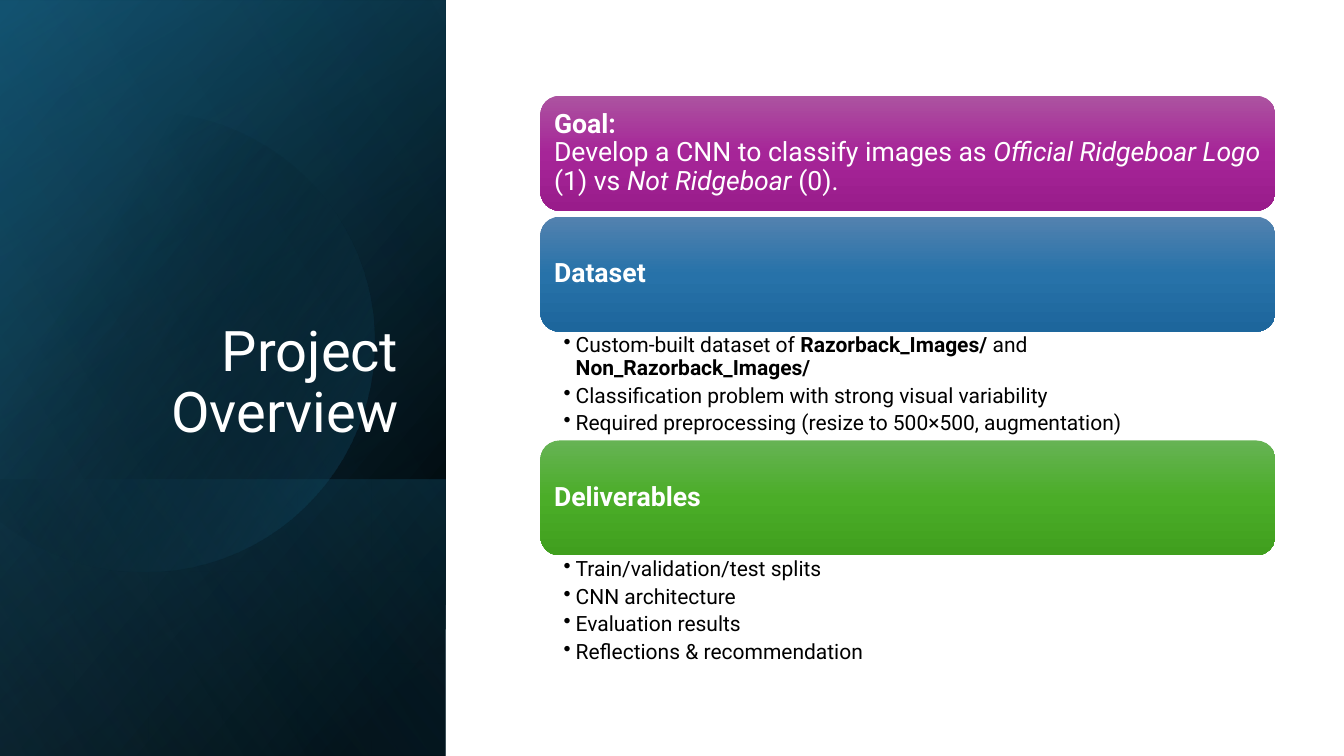
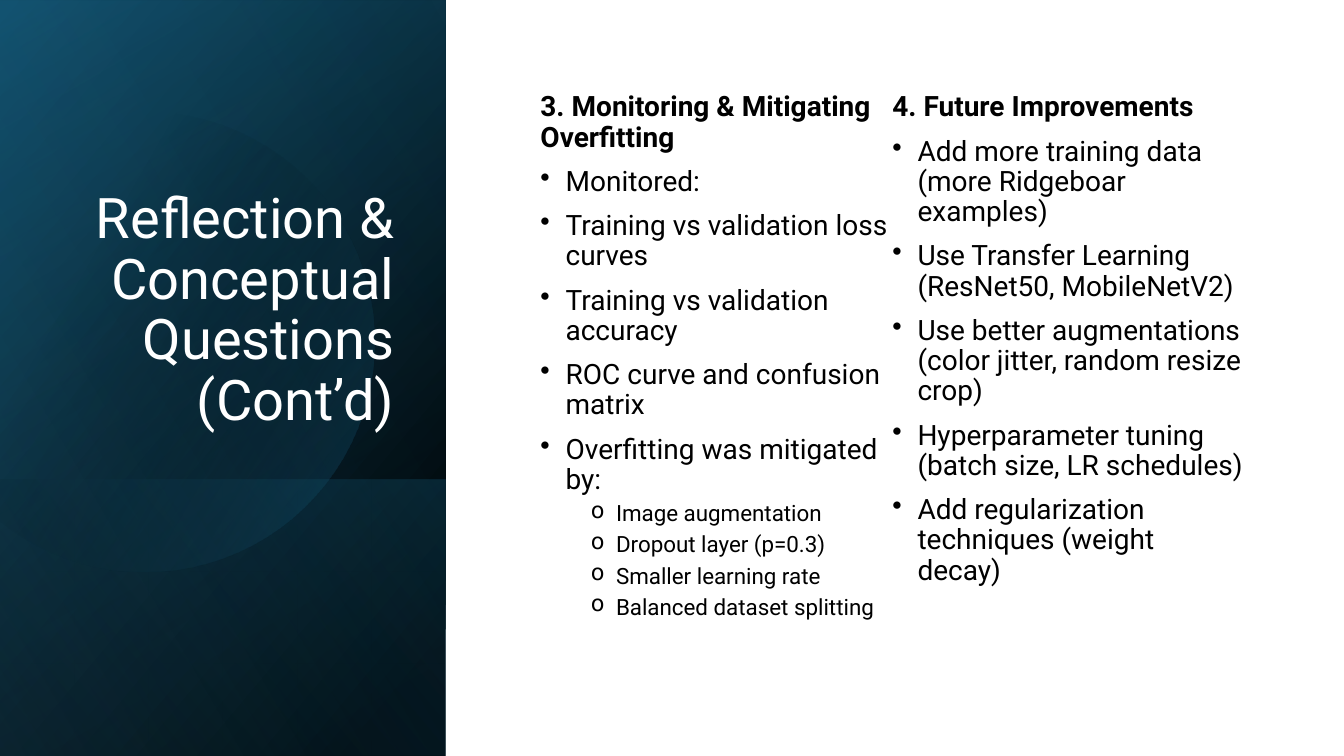
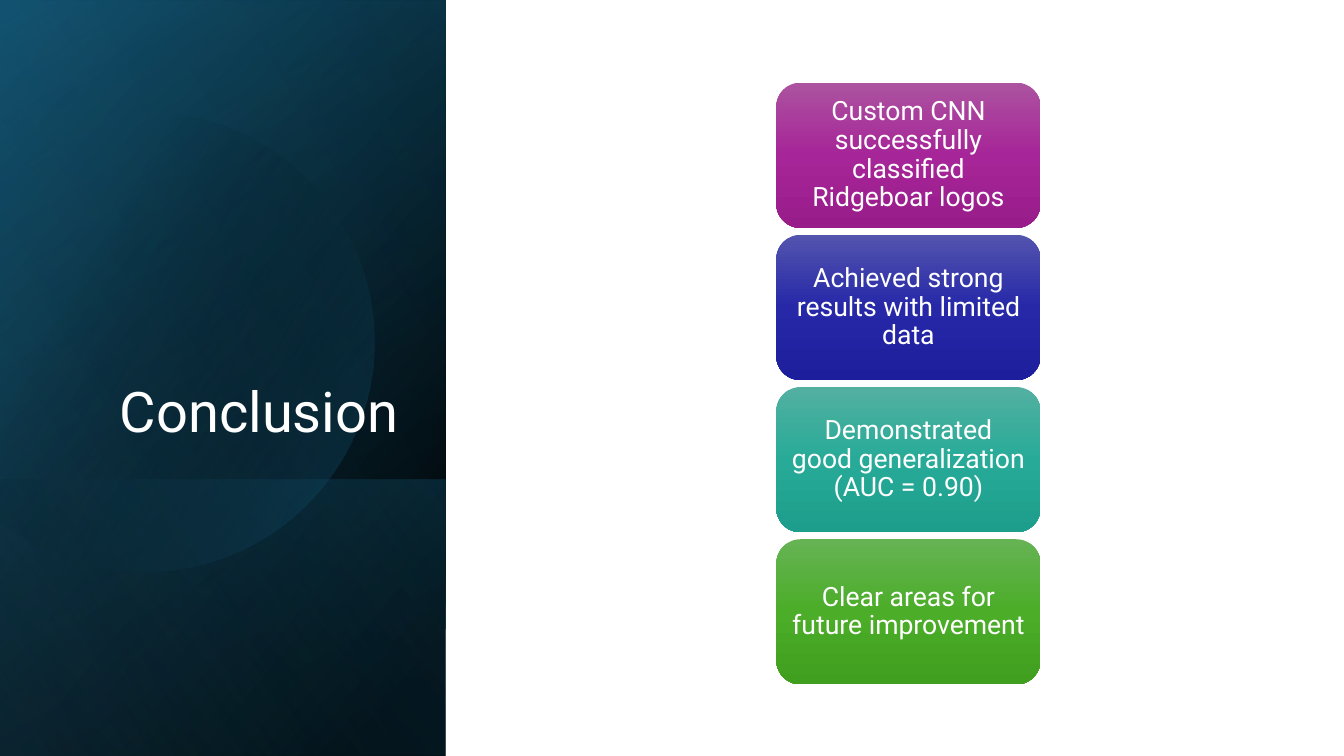
import math

import lxml.etree
import pptx
import pptx.dml.color
import pptx.enum.shapes
import pptx.enum.text
import pptx.oxml.ns
import pptx.util

Inches = pptx.util.Inches
Pt = pptx.util.Pt
qn = pptx.oxml.ns.qn
rgb = pptx.dml.color.RGBColor.from_string
SHAPE = pptx.enum.shapes.MSO_SHAPE
ALIGN = pptx.enum.text.PP_ALIGN
ANCHOR = pptx.enum.text.MSO_ANCHOR
FIT = pptx.enum.text.MSO_AUTO_SIZE

FONT = "Roboto"
WHITE, BLACK = "FFFFFF", "000000"
PURPLE = [(0, "AC53A0"), (50, "A62598"), (100, "991C8B")]
BLUE = [(0, "5382AF"), (50, "2772A9"), (100, "1D669C")]
INDIGO = [(0, "5354AE"), (50, "2628A8"), (100, "1D1E9B")]
TEAL = [(0, "53B0A1"), (50, "27AB98"), (100, "1D9D8B")]
GREEN = [(0, "66B354"), (50, "4BAD28"), (100, "409F1E")]


def paint(shape, stops, angle=90):
    """Fill with a gradient of (position, colour[, opacity]) stops, without line or shadow."""
    shape.shadow.inherit = False
    shape.line.fill.background()
    shape.fill.background()
    properties = shape.element.spPr
    gradient = lxml.etree.Element(qn("a:gradFill"), rotWithShape="1")
    stop_list = lxml.etree.SubElement(gradient, qn("a:gsLst"))
    for position, colour, *opacity in stops:
        stop = lxml.etree.SubElement(stop_list, qn("a:gs"), pos=str(position * 1000))
        tone = lxml.etree.SubElement(stop, qn("a:srgbClr"), val=colour)
        for percent in opacity:
            lxml.etree.SubElement(tone, qn("a:alpha"), val=str(percent * 1000))
    lxml.etree.SubElement(gradient, qn("a:lin"), ang=str(angle * 60000), scaled="0")
    properties.replace(properties.find(qn("a:noFill")), gradient)


def write(frame, frame_format, paragraphs, colour):
    """Write (runs, size, format, bullet) paragraphs; a run is (text, marks), marks from "bi"."""
    frame.word_wrap = True
    frame.auto_size = FIT.NONE
    for name, value in frame_format.items():
        setattr(frame, name, value)
    for number, (runs, size, paragraph_format, bullet) in enumerate(paragraphs):
        paragraph = frame.add_paragraph() if number else frame.paragraphs[0]
        paragraph.line_spacing = 0.9
        for name, value in paragraph_format.items():
            if number or name != "space_before":
                setattr(paragraph, name, value)
        if bullet:
            mark, left, hanging = bullet
            properties = paragraph._p.get_or_add_pPr()
            properties.set("marL", str(Inches(left)))
            properties.set("indent", str(-Inches(hanging)))
            lxml.etree.SubElement(properties, qn("a:buChar"), char=mark)
        for text, marks in runs:
            if text == "\n":
                paragraph.add_line_break()
                continue
            run = paragraph.add_run()
            run.text = text
            run.font.name = FONT
            run.font.size = Pt(size)
            run.font.bold = "b" in marks
            run.font.italic = "i" in marks
            run.font.color.rgb = rgb(colour)


deck = pptx.Presentation()
deck.slide_width, deck.slide_height = Inches(13.33), Inches(7.5)
title_only = deck.slide_layouts[5]

# Slides and titles
titles = [
    ("Project Overview", (0.64, 1.84, 3.41, 2.62)),
    ("Reflection & Conceptual Questions (Cont’d)", (0.51, 0.64, 3.5, 3.7)),
    ("Conclusion", (0.64, 1.84, 3.41, 2.62)),
]
for heading, place in titles:
    title = deck.slides.add_slide(title_only).shapes.title
    title.left, title.top, title.width, title.height = map(Inches, place)
    write(title.text_frame, {"vertical_anchor": ANCHOR.BOTTOM},
          [([(heading, "")], 40, {"alignment": ALIGN.RIGHT}, None)], WHITE)
overview, reflection, conclusion = deck.slides

# Side panel, drawn once and moved to the layout
layers = [
    ((-1.54, 1.54, 7.5, 4.42), [(8, BLACK), (100, "104862")], 50),
    ((-1.54, 1.55, 7.5, 4.42), [(0, BLACK, 0), (99, "156082", 46)], 30),
    ((0.84, 3.92, 2.74, 4.42), [(2, "156082", 29), (100, BLACK, 30)], 130),
    ((-1.54, 1.54, 7.5, 4.42), [(0, BLACK, 0), (99, "46B1E1", 11)], 120),
]
side_panel = []
for place, stops, angle in layers:
    layer = overview.shapes.add_shape(SHAPE.RECTANGLE, *map(Inches, place))
    layer.rotation = 90
    layer.element.spPr.find(qn("a:xfrm")).set("flipH", "1")
    paint(layer, stops, angle)
    side_panel.append(layer)

arc = []
for degrees in range(-134, 135, 4):
    turn = math.radians(degrees)
    arc.append((Inches(1.43 + 2.28 * math.cos(turn)), Inches(3.39 + 2.28 * math.sin(turn))))
outline = overview.shapes.build_freeform(*arc[0])
outline.add_line_segments(arc[1:], close=True)
disc = outline.convert_to_shape()
paint(disc, [(29, BLACK, 0), (100, "156082", 43)], 30)
side_panel.insert(3, disc)

for number, layer in enumerate(side_panel):
    layer.element.nvSpPr.cNvPr.set("id", str(101 + number))
    title_only.shapes.element.insert(2 + number, layer.element)

# Project overview
card_frame = {"vertical_anchor": ANCHOR.MIDDLE, "margin_left": Inches(0.08),
              "margin_right": Inches(0.08), "margin_top": Inches(0.08),
              "margin_bottom": Inches(0.08)}
list_frame = {"vertical_anchor": ANCHOR.TOP, "margin_left": Inches(0.23),
              "margin_right": Inches(0.15), "margin_top": Inches(0.03),
              "margin_bottom": Inches(0.03)}
goal = [("Goal:", "b"), ("\n", ""), ("Develop a CNN to classify images as ", ""),
        ("Official Ridgeboar Logo", "i"), (" (1) vs ", ""), ("Not Ridgeboar", "i"),
        (" (0).", "")]
dataset = [
    [("Custom-built dataset of ", ""), ("Razorback_Images/", "b"), (" and ", ""),
     ("Non_Razorback_Images/", "b")],
    [("Classification problem with strong visual variability", "")],
    [("Required preprocessing (resize to 500×500, augmentation)", "")],
]
deliverables = [[(item, "")] for item in (
    "Train/validation/test splits", "CNN architecture", "Evaluation results",
    "Reflections & recommendation")]
sections = [
    (0.95, PURPLE, goal, []),
    (2.15, BLUE, [("Dataset", "b")], dataset),
    (4.37, GREEN, [("Deliverables", "b")], deliverables),
]
for top, stops, heading, items in sections:
    card = overview.shapes.add_shape(SHAPE.ROUNDED_RECTANGLE, Inches(5.36), Inches(top),
                                     Inches(7.29), Inches(1.14))
    paint(card, stops)
    write(card.text_frame, card_frame,
          [(heading, 19, {"alignment": ALIGN.LEFT}, None)], WHITE)
    if items:
        details = overview.shapes.add_textbox(Inches(5.36), Inches(top + 1.14),
                                              Inches(7.29), Inches(1.1))
        write(details.text_frame, list_frame,
              [(runs, 15, {"level": 1, "space_after": Pt(3.5)}, ("•", 0.12, 0.12))
               for runs in items], BLACK)

# Reflection questions
column_frame = {"margin_left": 0, "margin_right": 0, "margin_top": 0, "margin_bottom": 0}
questions = [
    ("3. Monitoring & Mitigating Overfitting",
     ["Monitored:", "Training vs validation loss curves", "Training vs validation accuracy",
      "ROC curve and confusion matrix", "Overfitting was mitigated by:"],
     ["Image augmentation", "Dropout layer (p=0.3)", "Smaller learning rate",
      "Balanced dataset splitting"]),
    ("4. Future Improvements",
     ["Add more training data (more Ridgeboar examples)",
      "Use Transfer Learning (ResNet50, MobileNetV2)",
      "Use better augmentations (color jitter, random resize crop)",
      "Hyperparameter tuning (batch size, LR schedules)",
      "Add regularization techniques (weight decay)"],
     []),
]
for number, (heading, points, subpoints) in enumerate(questions):
    column = reflection.shapes.add_textbox(Inches(5.36 + 3.49 * number), Inches(0.92),
                                           Inches(3.49), Inches(5.6))
    paragraphs = [([(heading, "b")], 20, {}, None)]
    for point in points:
        paragraphs.append(([(point, "")], 20, {"space_before": Pt(10)}, ("•", 0.25, 0.25)))
    for subpoint in subpoints:
        paragraphs.append(([(subpoint, "")], 16, {"level": 1, "space_before": Pt(5)},
                           ("o", 0.75, 0.25)))
    write(column.text_frame, column_frame, paragraphs, BLACK)

# Conclusion
takeaway_frame = {**card_frame, "margin_top": Inches(0.04), "margin_bottom": Inches(0.04)}
takeaways = [
    ("Custom CNN successfully classified Ridgeboar logos", PURPLE),
    ("Achieved strong results with limited data", INDIGO),
    ("Demonstrated good generalization (AUC = 0.90)", TEAL),
    ("Clear areas for future improvement", GREEN),
]
for number, (takeaway, stops) in enumerate(takeaways):
    card = conclusion.shapes.add_shape(SHAPE.ROUNDED_RECTANGLE, Inches(7.7),
                                       Inches(0.82 + 1.51 * number), Inches(2.62), Inches(1.44))
    paint(card, stops)
    write(card.text_frame, takeaway_frame,
          [([(takeaway, "")], 19, {"alignment": ALIGN.CENTER}, None)], WHITE)

deck.save("out.pptx")
